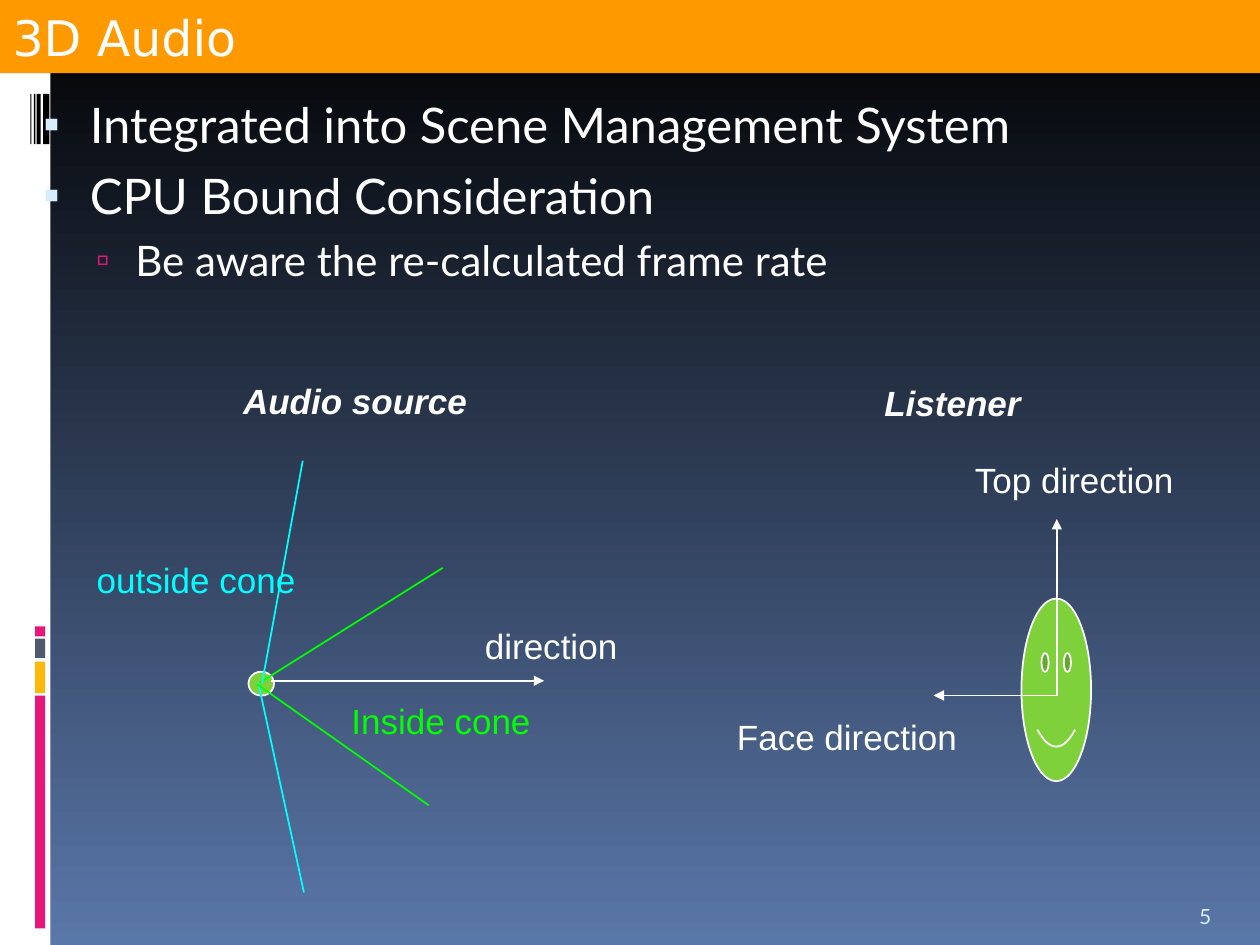
from lxml.etree import SubElement as Sub
from pptx import Presentation
from pptx.dml.color import RGBColor as Rgb
from pptx.enum.shapes import MSO_CONNECTOR as Conn, MSO_SHAPE as Geo
from pptx.enum.text import MSO_ANCHOR as Anchor, MSO_AUTO_SIZE as Auto, PP_ALIGN as Align
from pptx.oxml.ns import qn
from pptx.util import Pt

HUES = {"white": "FFFFFF", "black": "000000", "blue": "5A77A9", "pink": "EA157A",
        "gold": "FEB80A", "slate": "4E5B6F", "orange": "FF9900", "pale": "D6ECFF",
        "leaf": "7FD13B", "lime": "00FF00", "cyan": "00FFFF"}

TITLE = "3D Audio"
ITEMS = [("Integrated into Scene Management System", 0),
         ("CPU Bound Consideration", 0),
         ("Be aware the re-calculated frame rate", 1)]
LEVELS = [{"size": 28, "left": 32.4, "hang": 26.6, "gap": 7, "mark": "▪", "hue": "pale", "pct": 95},
          {"size": 24, "left": 58.3, "hang": 22.3, "gap": 6, "mark": "▫", "hue": "pink", "pct": 90}]
STRIPE = [(397.5, 133, "pink"), (378, 18, "gold"), (365, 11, "slate"), (358, 5.75, "pink")]
BARS = [(24.6, 3.6), (21, 2.2), (19.4, 0.9), (17.3, 0.7)]
LABELS = [("Listener", 498.3, 214.7, 94, "white", True),
          ("Top direction", 550, 258.5, 130, "white", False),
          ("Face direction", 414, 405.4, 142, "white", False),
          ("Audio source", 131.8, 213.1, 144, "white", True),
          ("direction", 270, 353.5, 92, "white", False),
          ("Inside cone", 193.7, 396, 118, "lime", False),
          ("outside cone", 48.2, 315.4, 129, "cyan", False)]
OVALS = [(Geo.SMILEY_FACE, 583.7, 342, 39.8, 104.4), (Geo.OVAL, 142, 383.8, 14.6, 13.7)]
LINES = [(603.9, 397.4, 603.9, 296.6, "white", True),
         (604.8, 397.4, 533.5, 397.4, "white", True),
         (154.8, 389, 311, 389, "white", True),
         (148.3, 390.2, 253, 324.5, "lime", False),
         (173.7, 510, 147.6, 390.2, "cyan", False),
         (149.8, 390.2, 173, 263.3, "cyan", False),
         (146.9, 391, 245, 460.2, "lime", False)]


def hue(name):
    return Rgb.from_string(HUES[name])


def paint(shape, name):
    shape.fill.solid()
    shape.fill.fore_color.rgb = hue(name)


def draw(geo, x, y, w, h, name, edge=None):
    shape = shapes.add_shape(geo, Pt(x), Pt(y), Pt(w), Pt(h))
    shape.shadow.inherit = False
    paint(shape, name)
    if edge:
        shape.line.color.rgb = hue(edge)
        shape.line.width = Pt(1)
    else:
        shape.line.fill.background()
    return shape


def write(para, text, size, font, name, bold=False):
    run = para.add_run()
    run.text = text
    run.font.size, run.font.name = Pt(size), font
    run.font.color.rgb = hue(name)
    if bold:
        run.font.bold = run.font.italic = True


def place(shape, x, y, w, h):
    shape.left, shape.top, shape.width, shape.height = Pt(x), Pt(y), Pt(w), Pt(h)
    shapes.element.append(shape.element)
    shape.text_frame.auto_size = Auto.NONE


def bullet(para, level):
    para.space_before = Pt(level["gap"])
    props = para._p.get_or_add_pPr()
    props.set("marL", str(Pt(level["left"])))
    props.set("indent", str(-Pt(level["hang"])))
    Sub(Sub(props, qn("a:buClr")), qn("a:srgbClr"), val=HUES[level["hue"]])
    Sub(props, qn("a:buSzPct"), val=str(level["pct"] * 1000))
    Sub(props, qn("a:buChar"), char=level["mark"])


deck = Presentation()
deck.slide_width, deck.slide_height = Pt(720), Pt(540)
slide = deck.slides.add_slide(deck.slide_layouts[1])
shapes = slide.shapes
title, body = shapes.title, slide.placeholders[1]

back = slide.background.fill
back.gradient()
back.gradient_angle = 270
for stop, name in zip(back.gradient_stops, ("black", "blue")):
    stop.color.rgb = hue(name)

draw(Geo.RECTANGLE, 0, 0, 28.8, 540, "white")
for y, h, name in STRIPE:
    draw(Geo.RECTANGLE, 20, y, 5.8, h, name)
for x, w in BARS:
    draw(Geo.RECTANGLE, x, 53.6, w, 28.8, "black")

place(body, 11.8, 50.2, 704, 489.6)
for i, (text, depth) in enumerate(ITEMS):
    para = body.text_frame.paragraphs[0] if i == 0 else body.text_frame.add_paragraph()
    para.level = depth
    bullet(para, LEVELS[depth])
    write(para, text, LEVELS[depth]["size"], "Lato", "white")

place(title, 0, 0, 720, 41.8)
paint(title, "orange")
title.text_frame.vertical_anchor = Anchor.MIDDLE
para = title.text_frame.paragraphs[0]
para.alignment = Align.LEFT
write(para, TITLE, 28, "DejaVu Sans", "white")

page = shapes.add_textbox(Pt(678.2), Pt(505.4), Pt(36), Pt(28.8)).text_frame
page.word_wrap = True
page.vertical_anchor = Anchor.BOTTOM
write(page.paragraphs[0], "5", 12, "Lato", "pale")

for geo, *box in OVALS:
    shape = draw(geo, *box, "leaf", "white")
    if geo == Geo.SMILEY_FACE:
        shape.adjustments[0] = 0.09

for *ends, name, arrow in LINES:
    line = shapes.add_connector(Conn.STRAIGHT, *map(Pt, ends))
    line.line.color.rgb = hue(name)
    line.line.width = Pt(1)
    if arrow:
        Sub(line.get_or_add_ln(), qn("a:tailEnd"), type="triangle")
    Sub(line.element.spPr, qn("a:effectLst"))

for text, x, y, w, name, bold in LABELS:
    frame = shapes.add_textbox(Pt(x), Pt(y), Pt(w), Pt(31.5)).text_frame
    frame.word_wrap = False
    frame.auto_size = Auto.SHAPE_TO_FIT_TEXT
    write(frame.paragraphs[0], text, 20, "Arial", name, bold)

deck.save("out.pptx")
